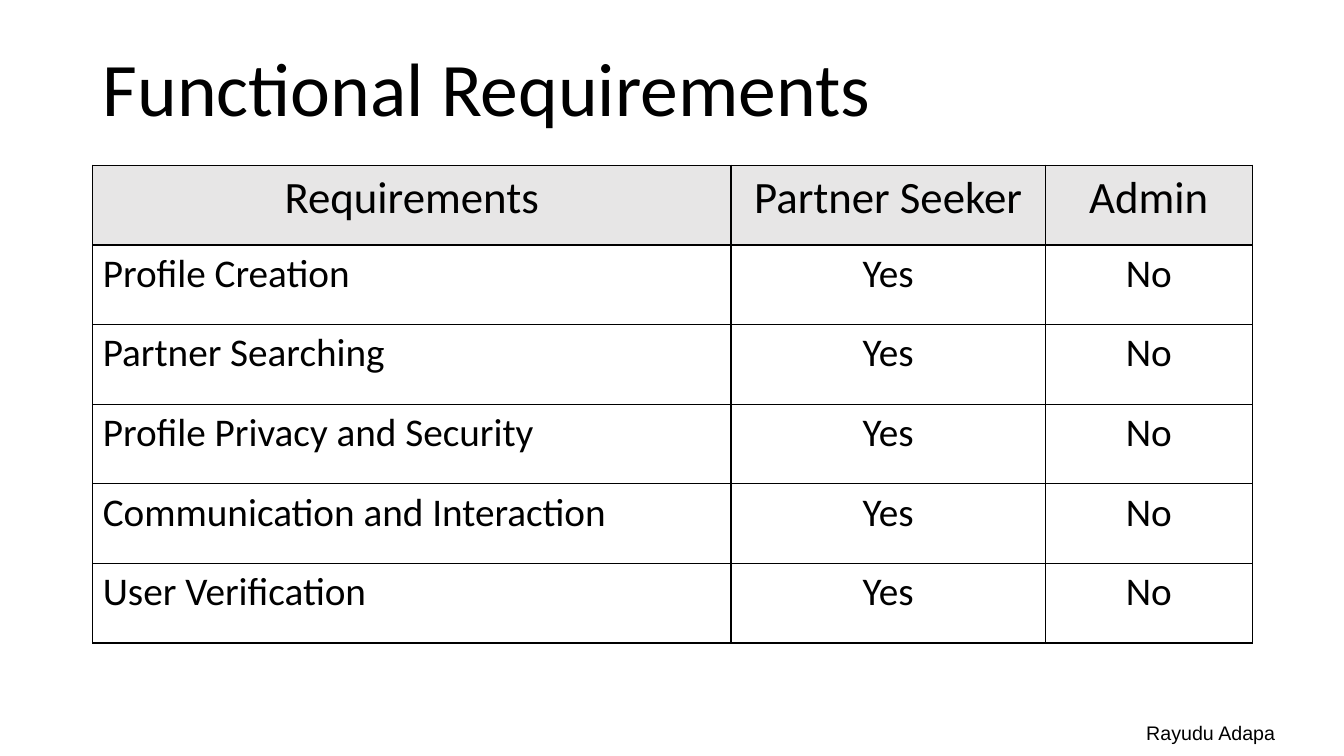
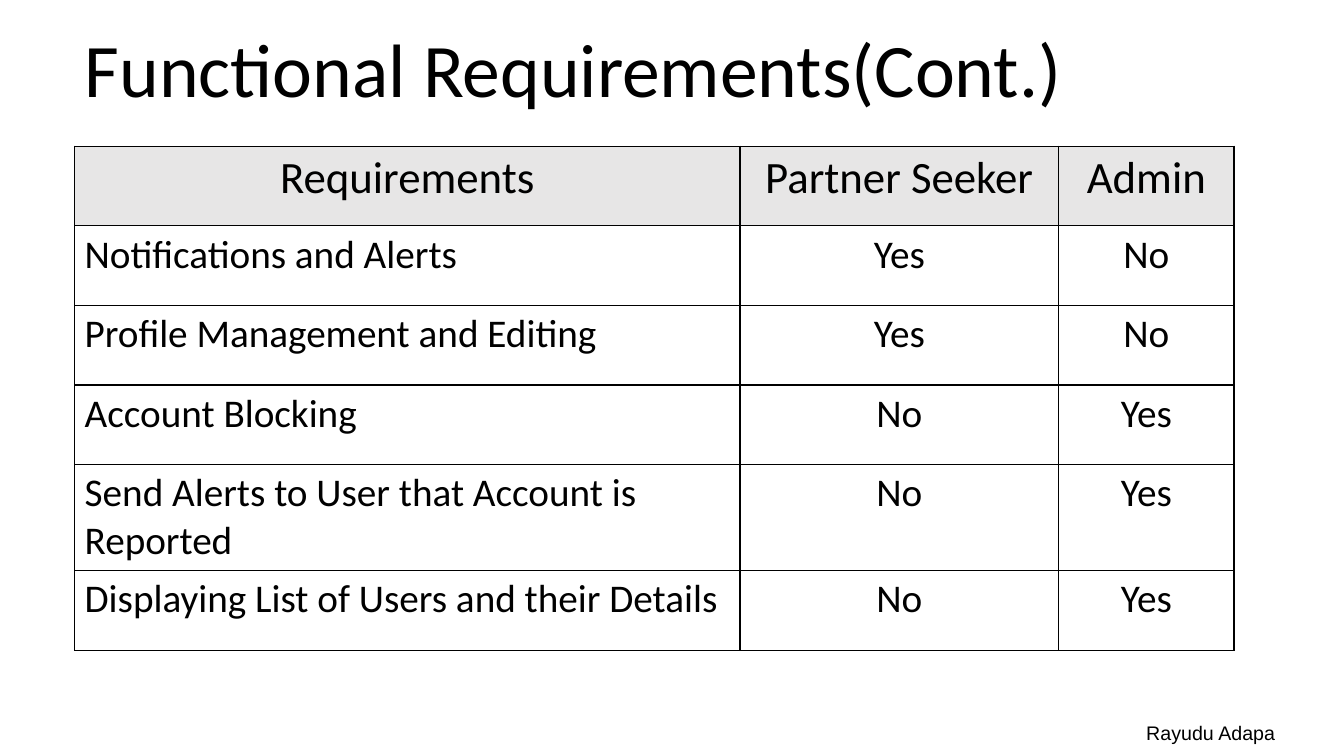
"""Build the two slides of functional requirements by role."""
from dataclasses import dataclass

from lxml import etree
from pptx import Presentation
from pptx.dml.color import RGBColor
from pptx.enum import text as t
from pptx.oxml import ns
from pptx.util import Inches, Pt

INK, HEAD, PAPER = "000000", "E7E6E6", "FFFFFF"
FONT = "Calibri"
HEADS = ("Requirements", "Partner Seeker", "Admin")
WIDTH, BAND, ROW = 11.5, 1.45, 0.79
LEFT, CENTER = t.PP_ALIGN.LEFT, t.PP_ALIGN.CENTER


@dataclass(frozen=True)
class Need:
    """A requirement and the role it belongs to."""
    name: str
    seeker: bool = True

    def cells(self) -> tuple[str, str, str]:
        """Give the three texts of its table row."""
        marks = ("Yes", "No") if self.seeker else ("No", "Yes")
        return (self.name, *marks)


@dataclass(frozen=True)
class Page:
    """A slide with a title, a table and the place they start at."""
    title: str
    left: float
    top: float
    cols: tuple[float, ...]
    needs: tuple[Need, ...]


PAGES = (
    Page("Functional Requirements", 0.92, 0.19, (6.33, 3.12, 2.05), (
        Need("Profile Creation"),
        Need("Partner Searching"),
        Need("Profile Privacy and Security"),
        Need("Communication and Interaction"),
        Need("User Verification"))),
    Page("Functional Requirements(Cont.)", 0.74, 0, (6.6, 3.16, 1.74), (
        Need("Notifications and Alerts"),
        Need("Profile Management and Editing"),
        Need("Account Blocking", False),
        Need("Send Alerts to User that Account is Reported", False),
        Need("Displaying List of Users and their Details", False))),
)


def color(code: str) -> RGBColor:
    """Turn a hex string into a colour."""
    return RGBColor.from_string(code)


def write(frame, words: str, size: float, align=LEFT, font: str = FONT):
    """Put one run into the first paragraph of a frame."""
    para = frame.paragraphs[0]
    para.alignment = align
    run = para.add_run()
    run.text = words
    run.font.size = Pt(size)
    run.font.name = font
    run.font.bold = False
    run.font.color.rgb = color(INK)
    return para


def border(cell) -> None:
    """Draw a thin line on all four sides of a cell."""
    props = cell._tc.get_or_add_tcPr()
    for side in ("lnL", "lnR", "lnT", "lnB"):
        line = etree.SubElement(props, ns.qn(f"a:{side}"), w=str(Pt(1)))
        fill = etree.SubElement(line, ns.qn("a:solidFill"))
        etree.SubElement(fill, ns.qn("a:srgbClr"), val=INK)


def add_title(slide, page: Page) -> None:
    """Place and fill the title."""
    title = slide.shapes.title
    title.left, title.top = Inches(page.left), Inches(page.top)
    title.width, title.height = Inches(WIDTH), Inches(BAND)
    frame = title.text_frame
    frame.auto_size = t.MSO_AUTO_SIZE.NONE
    frame.vertical_anchor = t.MSO_ANCHOR.MIDDLE
    write(frame, page.title, 54).line_spacing = 0.9


def add_grid(slide, page: Page) -> None:
    """Draw the table right below the title."""
    rows = (HEADS, *(need.cells() for need in page.needs))
    grid = slide.shapes.add_table(
        len(rows), len(HEADS), Inches(page.left), Inches(page.top + BAND),
        Inches(WIDTH), Inches(ROW * len(rows))).table
    grid.first_row = grid.horz_banding = False
    for col, width in zip(grid.columns, page.cols):
        col.width = Inches(width)
    for i, row in enumerate(rows):
        grid.rows[i].height = Inches(ROW)
        for j, words in enumerate(row):
            cell = grid.cell(i, j)
            border(cell)
            cell.fill.solid()
            cell.fill.fore_color.rgb = color(PAPER if i else HEAD)
            write(cell.text_frame, words, 28 if i else 32,
                  LEFT if i and not j else CENTER)


def add_foot(slide) -> None:
    """Write the author at the bottom right."""
    box = slide.shapes.add_textbox(
        Inches(11.27), Inches(7.1), Inches(1.88), Inches(0.34))
    frame = box.text_frame
    frame.word_wrap = True
    frame.auto_size = t.MSO_AUTO_SIZE.SHAPE_TO_FIT_TEXT
    write(frame, "Rayudu Adapa", 14, font="Arial")


def main() -> None:
    """Build and save the deck."""
    deck = Presentation()
    deck.slide_width, deck.slide_height = Inches(13.33), Inches(7.5)
    for page in PAGES:
        slide = deck.slides.add_slide(deck.slide_layouts[5])
        add_title(slide, page)
        add_grid(slide, page)
        add_foot(slide)
    deck.save("out.pptx")


if __name__ == "__main__":
    main()
